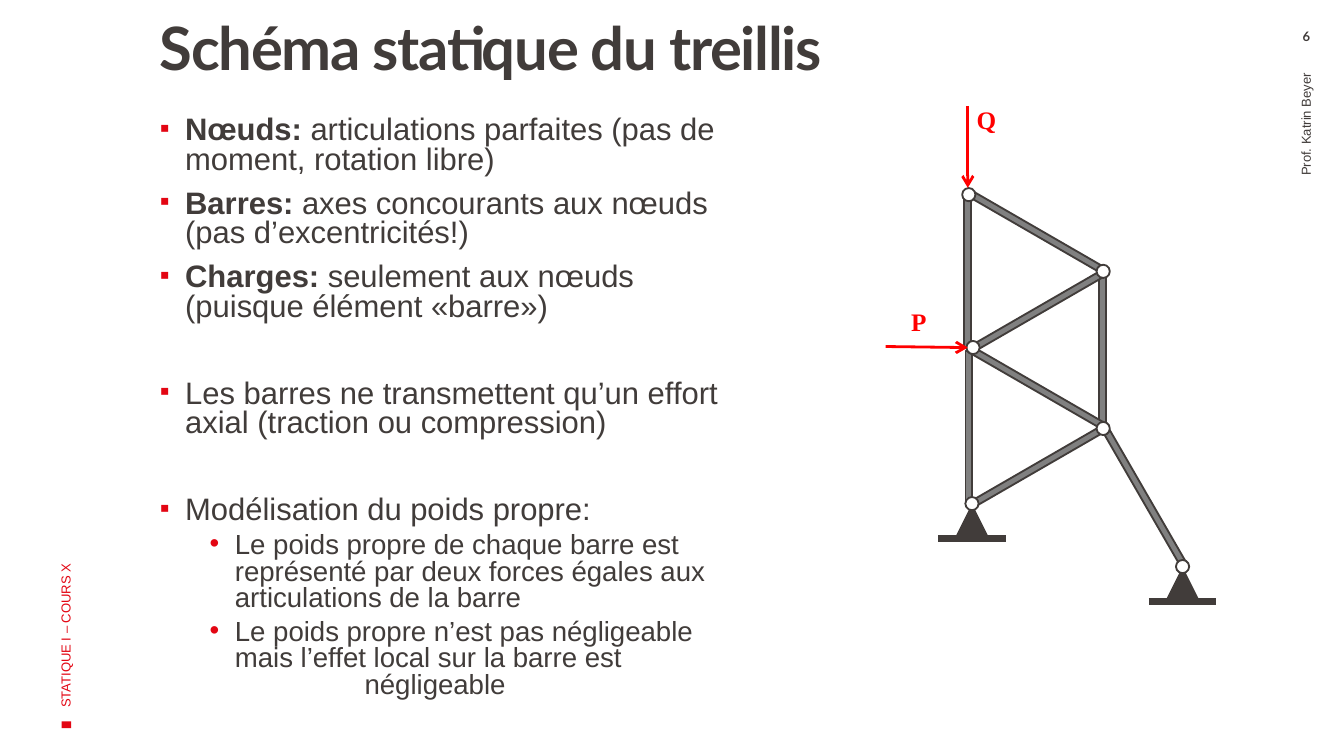
from dataclasses import dataclass

from lxml.etree import SubElement
from pptx import Presentation
from pptx.dml.color import RGBColor
from pptx.enum.shapes import MSO_CONNECTOR, MSO_SHAPE
from pptx.enum.text import MSO_ANCHOR, MSO_AUTO_SIZE, PP_ALIGN
from pptx.oxml.ns import qn
from pptx.util import Cm, Pt


@dataclass(frozen=True)
class Theme:
    dark: RGBColor = RGBColor.from_string("413C3A")
    accent: RGBColor = RGBColor.from_string("E30613")
    load: RGBColor = RGBColor.from_string("FF0000")
    bar: RGBColor = RGBColor.from_string("808080")
    white: RGBColor = RGBColor.from_string("FFFFFF")
    title_size: float = 32
    body_size: float = 16.6
    detail_size: float = 14.8
    label_size: float = 13.5
    small_size: float = 7


THEME = Theme()
LEVELS = {
    "point": {"level": 0, "left": 0.48, "hanging": 0.48, "bullet": "▪", "scale": 90,
              "size": THEME.body_size, "before": 7.5},
    "section": {"level": 0, "left": 0.48, "hanging": 0.48, "bullet": "▪", "scale": 90,
                "size": THEME.body_size, "before": 30.5},
    "detail": {"level": 1, "left": 1.42, "hanging": 0.48, "bullet": "•", "scale": 100,
               "size": THEME.detail_size, "before": 3.8},
    "continuation": {"level": 1, "left": 3.87, "hanging": 0, "bullet": None, "scale": 100,
                     "size": THEME.detail_size, "before": 0},
}
POINTS = [
    ("point", "Nœuds: ", "articulations parfaites (pas de moment, rotation libre)"),
    ("point", "Barres: ", "axes concourants aux nœuds (pas d’excentricités!)"),
    ("point", "Charges: ", "seulement aux nœuds (puisque élément «barre»)"),
    ("section", "", "Les barres ne transmettent qu’un effort axial (traction ou compression)"),
    ("section", "", "Modélisation du poids propre:"),
    ("detail", "", "Le poids propre de chaque barre est représenté par deux forces égales "
                   "aux articulations de la barre"),
    ("detail", "", "Le poids propre n’est pas négligeable mais l’effet local sur la barre est"),
    ("continuation", "", "négligeable"),
]
BARS = [
    (4.88, 7.53, 60), (4.09, 4.74, 90), (1.55, 3.26, 90), (1.57, 6.24, 90),
    (2.84, 2.53, 30), (2.87, 4.03, 330), (2.84, 5.47, 30), (2.87, 6.97, 330),
]
SUPPORTS = [(1.63, 7.67), (5.61, 8.86)]
JOINTS = SUPPORTS + [(1.57, 1.83), (4.11, 3.28), (1.65, 4.72), (4.11, 6.25)]
LOADS = [
    ("Q", (1.55, 0.15, 1.55, 1.7), (1.47, 0, 0.81, 0.81)),
    ("P", (0, 4.7, 1.55, 4.72), (0.23, 3.81, 0.91, 1.02)),
]


def apply(target, values):
    for name, value in values.items():
        setattr(target, name, value)


def place(shape, box):
    apply(shape, dict(zip(("left", "top", "width", "height"), map(Cm, box))))


def format_frame(frame, insets=(0.25, 0.13, 0.25, 0.13), anchor=MSO_ANCHOR.TOP, wrap=True):
    names = ("margin_left", "margin_top", "margin_right", "margin_bottom")
    apply(frame, dict(zip(names, map(Cm, insets))))
    apply(frame, {"vertical_anchor": anchor, "word_wrap": wrap,
                  "auto_size": MSO_AUTO_SIZE.NONE})


def add_run(paragraph, text, size, color, name="Arial", bold=False):
    run = paragraph.add_run()
    run.text = text
    apply(run.font, {"name": name, "size": Pt(size), "bold": bold})
    run.font.color.rgb = color
    return run


def add_bullet(paragraph, style):
    properties = paragraph._p.get_or_add_pPr()
    properties.set("marL", str(Cm(style["left"])))
    properties.set("indent", str(-Cm(style["hanging"])))
    if style["bullet"] is None:
        SubElement(properties, qn("a:buNone"))
        return
    color = SubElement(properties, qn("a:buClr"))
    SubElement(color, qn("a:srgbClr"), val=str(THEME.accent))
    SubElement(properties, qn("a:buSzPct"), val=str(style["scale"] * 1000))
    SubElement(properties, qn("a:buFont"), typeface="Arial")
    SubElement(properties, qn("a:buChar"), char=style["bullet"])


def add_label(slide, box, text, size, color, name="Arial", bold=False,
              align=PP_ALIGN.LEFT, rotation=0, **frame_format):
    label = slide.shapes.add_textbox(0, 0, 0, 0)
    place(label, box)
    label.rotation = rotation
    format_frame(label.text_frame, **frame_format)
    paragraph = label.text_frame.paragraphs[0]
    paragraph.alignment = align
    add_run(paragraph, text, size, color, name, bold)


def add_solid(slide, kind, box, fill, line=None, rotation=0):
    shape = slide.shapes.add_shape(kind, 0, 0, 0, 0)
    place(shape, box)
    shape.rotation = rotation
    shape.shadow.inherit = False
    shape.fill.solid()
    shape.fill.fore_color.rgb = fill
    if line is None:
        shape.line.fill.background()
    else:
        shape.line.color.rgb = line
        shape.line.width = Pt(1)


def add_line(slide, ends, color, width, arrow=False):
    connector = slide.shapes.add_connector(MSO_CONNECTOR.STRAIGHT, *map(Cm, ends))
    connector.line.color.rgb = color
    connector.line.width = Pt(width)
    if arrow:
        SubElement(connector.line._get_or_add_ln(), qn("a:tailEnd"), type="arrow")
    SubElement(connector._element.spPr, qn("a:effectLst"))


def fill_title(slide, box):
    title = slide.shapes.title
    place(title, box)
    format_frame(title.text_frame, (0.51, 0, 0.2, 0.13))
    paragraph = title.text_frame.paragraphs[0]
    apply(paragraph, {"alignment": PP_ALIGN.LEFT, "line_spacing": 0.9})
    run = add_run(paragraph, "Schéma statique du treillis", THEME.title_size,
                  THEME.dark, "Lato", True)
    run.font._element.set("spc", "-70")


def fill_body(slide, box):
    body = slide.placeholders[1]
    place(body, box)
    frame = body.text_frame
    format_frame(frame, (0.51, 0.13, 0.25, 0.13))
    for index, (kind, lead, text) in enumerate(POINTS):
        style = LEVELS[kind]
        paragraph = frame.add_paragraph() if index else frame.paragraphs[0]
        add_bullet(paragraph, style)
        apply(paragraph, {"level": style["level"], "line_spacing": 0.8,
                          "space_before": Pt(style["before"] if index else 0)})
        if lead:
            add_run(paragraph, lead, style["size"], THEME.dark, bold=True)
        add_run(paragraph, text, style["size"], THEME.dark)


def draw_margins(slide, box):
    left, top, width, height = box
    bottom, right = top + height, left + width
    add_solid(slide, MSO_SHAPE.RECTANGLE, (left + 1.19, bottom - 0.68, 0.13, 0.18),
              THEME.accent, rotation=270)
    add_label(slide, (left - 3.4, bottom - 6.57, 9.27, 2.54), "STATIQUE I – COURS X",
              THEME.small_size, THEME.accent, rotation=270, anchor=MSO_ANCHOR.MIDDLE)
    add_label(slide, (right - 5.64, top + 5.21, 9.83, 1.42), "Prof. Katrin Beyer",
              THEME.small_size, THEME.dark, align=PP_ALIGN.RIGHT, rotation=270,
              anchor=MSO_ANCHOR.MIDDLE, insets=(0.25, 0.13, 0.38, 0.13))
    add_label(slide, (right - 1.42, top + 0.53, 1.42, 0.46), "6", THEME.small_size,
              THEME.dark, "Lato", True, PP_ALIGN.CENTER, insets=(0.25, 0, 0.25, 0))


def draw_truss(slide, box):
    left, top = box[:2]
    length, thickness, joint, support, ground = 2.9, 0.13, 0.25, 0.64, 1.27
    for x, y, angle in BARS:
        add_solid(slide, MSO_SHAPE.RECTANGLE,
                  (left + x - length / 2, top + y - thickness / 2, length, thickness),
                  THEME.bar, THEME.dark, angle)
    for x, y in SUPPORTS:
        add_solid(slide, MSO_SHAPE.ISOSCELES_TRIANGLE,
                  (left + x - support / 2, top + y, support, support), THEME.dark)
        level = top + y + 0.66
        add_line(slide, (left + x - ground / 2, level, left + x + ground / 2, level),
                 THEME.dark, 4)
    for x, y in JOINTS:
        add_solid(slide, MSO_SHAPE.OVAL,
                  (left + x - joint / 2, top + y - joint / 2, joint, joint),
                  THEME.white, THEME.dark)
    for name, (x1, y1, x2, y2), (x, y, width, height) in LOADS:
        add_line(slide, (left + x1, top + y1, left + x2, top + y2), THEME.load, 1.5, True)
        add_label(slide, (left + x, top + y, width, height), name, THEME.label_size,
                  THEME.load, "Times New Roman", True, wrap=False)


def main():
    presentation = Presentation()
    apply(presentation, {"slide_width": Cm(25.4), "slide_height": Cm(14.29)})
    slide = presentation.slides.add_slide(presentation.slide_layouts[1])
    fill_body(slide, (2.51, 2.08, 12.04, 11.66))
    fill_title(slide, (2.51, 0.36, 19.48, 2.97))
    draw_margins(slide, (0, 0, 25.4, 14.29))
    draw_truss(slide, (16.74, 1.85, 6.25, 9.53))
    presentation.save("out.pptx")


if __name__ == "__main__":
    main()
